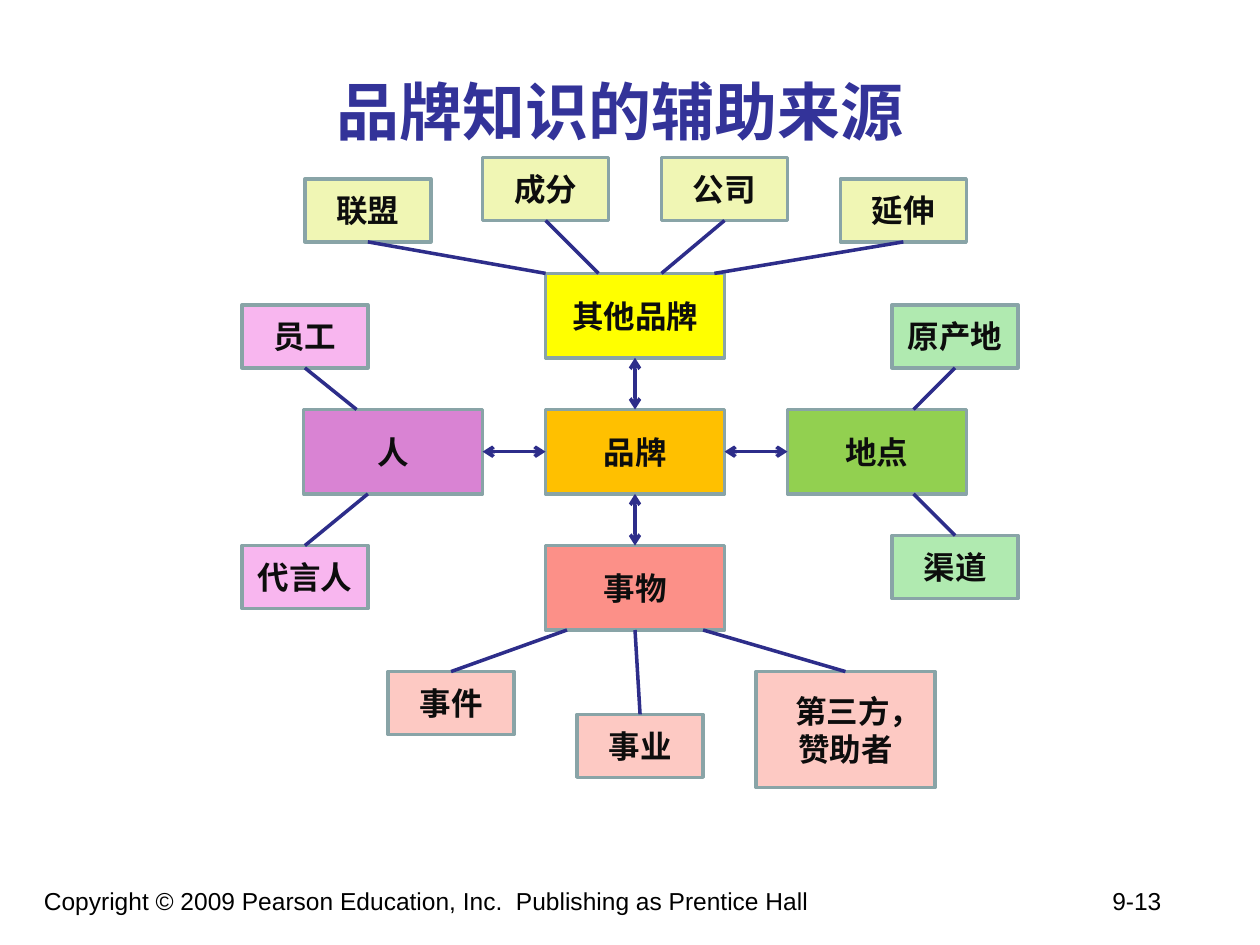
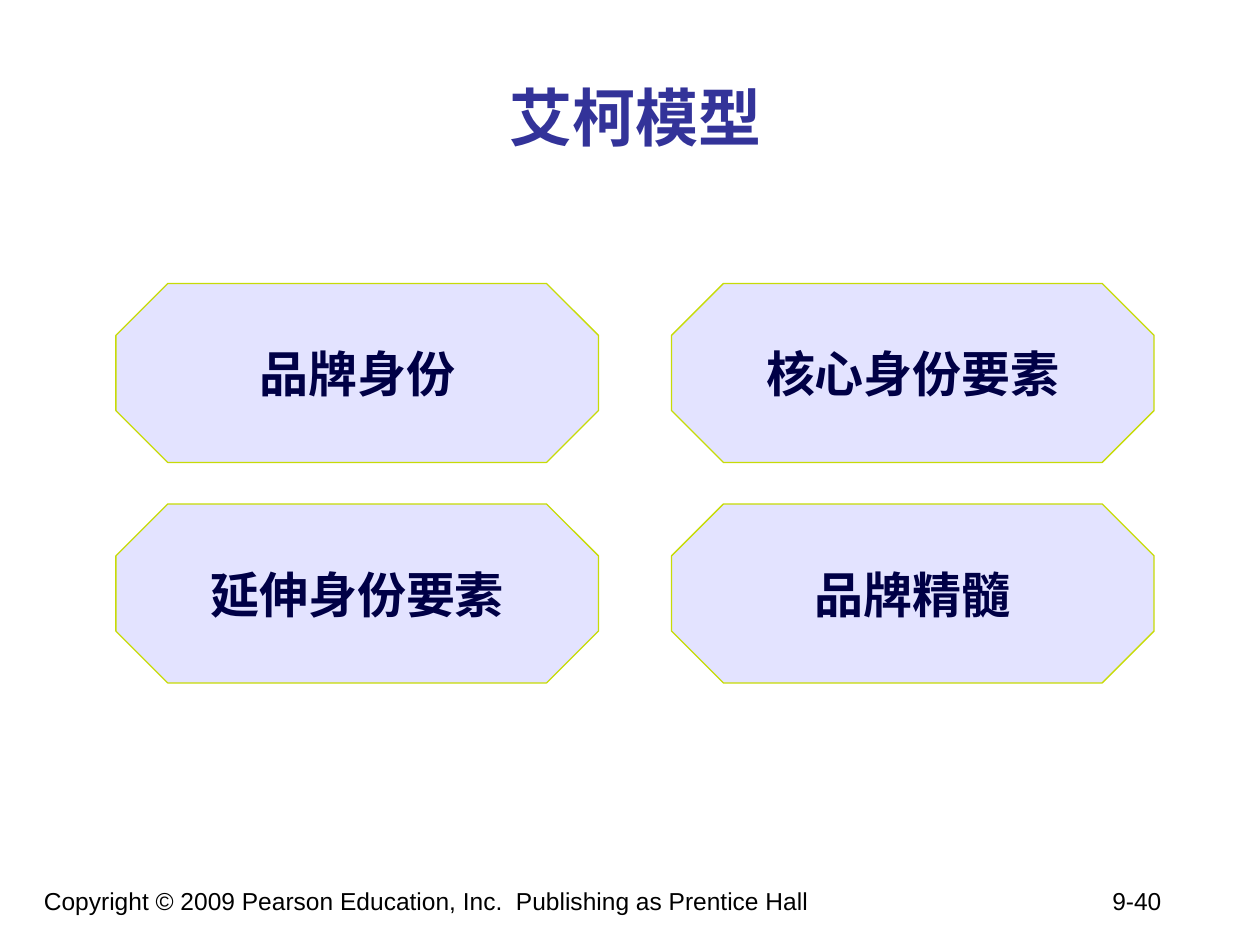
from lxml import etree
from pptx import Presentation
from pptx.dml.color import RGBColor
from pptx.enum.shapes import MSO_CONNECTOR, MSO_SHAPE
from pptx.enum.text import MSO_ANCHOR, PP_ALIGN
from pptx.oxml.ns import qn
from pptx.util import Inches, Pt

RECTANGLE, OCTAGON = MSO_SHAPE.RECTANGLE, MSO_SHAPE.OCTAGON
STRAIGHT = MSO_CONNECTOR.STRAIGHT
CENTER, MIDDLE = PP_ALIGN.CENTER, MSO_ANCHOR.MIDDLE
TOP, LEFT, BOTTOM, RIGHT = range(4)  # connection sites of a rectangle

# Shared style
LATIN, CHINESE = "Arial", "Noto Sans CJK SC"
TITLE_COLOR, FOOTER_COLOR = "333399", "000000"
BOX_LINE, BOX_TEXT, LINK_COLOR = "89A4A7", "0D0D0D", "2D2D8A"
CARD_FILL, CARD_LINE, CARD_TEXT = "E3E3FF", "C7DB07", "000046"
COPYRIGHT = "Copyright © 2009 Pearson Education, Inc.  Publishing as Prentice Hall"

# Map of sources: hubs sit around the centre, by column and row
HUB_SIZE, HUB_STEP = (1.42, 0.67), (1.92, 1.08)
CENTER_HUB = (4.33, 3.25)
HUBS = {
    "品牌": (0, 0, "FFC000"),
    "其他品牌": (0, -1, "FFFF00"),
    "人": (-1, 0, "D983D3"),
    "地点": (1, 0, "92D050"),
    "事物": (0, 1, "FC9088"),
}
# Side of the centre, hub joined there, side of that hub
SPOKES = [(TOP, "其他品牌", BOTTOM), (LEFT, "人", RIGHT),
          (RIGHT, "地点", LEFT), (BOTTOM, "事物", TOP)]

# Leaves: text, left, top, x where the link meets the hub (None: its middle)
LEAF_SIZE, WIDE_LEAF_SIZE = (1, 0.5), (1.42, 0.92)
WIDE_LEAF = "第三方，赞助者"
LEAVES = [
    ("其他品牌", "F0F6B4", [("联盟", 2.42, 1.42, 4.33), ("成分", 3.83, 1.25, 4.75),
                       ("公司", 5.25, 1.25, 5.25), ("延伸", 6.67, 1.42, 5.67)]),
    ("人", "F8B6EF", [("员工", 1.92, 2.42, 2.83), ("代言人", 1.92, 4.33, 2.92)]),
    ("地点", "B0EAB0", [("原产地", 7.08, 2.42, 7.25), ("渠道", 7.08, 4.25, 7.25)]),
    ("事物", "FDC9C3", [("事件", 3.08, 5.33, 4.5), ("事业", 4.58, 5.67, None),
                      (WIDE_LEAF, 6, 5.33, 5.58)]),
]

# Model cards, row by row
CARDS = [["品牌身份", "核心身份要素"], ["延伸身份要素", "品牌精髓"]]
CARD_START, CARD_SIZE, CARD_STEP = (0.92, 2.25), (3.83, 1.42), (4.41, 1.75)


def color(value):
    return RGBColor.from_string(value)


def style(para, size, text_color, bold=True, latin=LATIN):
    font = para.font
    font.size, font.bold, font.name = Pt(size), bold, latin
    font.color.rgb = color(text_color)
    defaults = para._p.pPr.find(qn("a:defRPr"))
    etree.SubElement(defaults, qn("a:ea"), typeface=CHINESE)


def add_page(deck, title, title_place, number):
    page = deck.slides.add_slide(deck.slide_layouts[5])
    heading = page.shapes.title
    heading.left, heading.top, heading.width, heading.height = map(Inches, title_place)
    heading.text_frame.text = title
    heading.text_frame.vertical_anchor = MIDDLE
    para = heading.text_frame.paragraphs[0]
    para.alignment = CENTER
    style(para, 36, TITLE_COLOR, latin=CHINESE)

    # Footer with the page number on a right tab
    footer = page.shapes.add_textbox(Inches(0.25), Inches(6.98), Inches(9.33), Inches(0.52))
    footer.text_frame.word_wrap = True
    para = footer.text_frame.paragraphs[0]
    para.text = f"{COPYRIGHT}\t{number}"
    tabs = etree.SubElement(para._p.get_or_add_pPr(), qn("a:tabLst"))
    etree.SubElement(tabs, qn("a:tab"), pos=str(Inches(8.87)), algn="r")
    style(para, 14, FOOTER_COLOR, bold=False)
    return page


def add_box(page, kind, text, place, size, fill, line, line_width, text_color, text_size):
    box = page.shapes.add_shape(kind, *map(Inches, place + size))
    box.shadow.inherit = False
    box.fill.solid()
    box.fill.fore_color.rgb = color(fill)
    box.line.color.rgb = color(line)
    box.line.width = Pt(line_width)
    frame = box.text_frame
    frame.word_wrap = True
    frame.vertical_anchor = MIDDLE
    para = frame.paragraphs[0]
    para.text = text
    para.alignment = CENTER
    style(para, text_size, text_color)
    return box


def add_map_box(page, text, place, size, fill):
    return add_box(page, RECTANGLE, text, place, size, fill, BOX_LINE, 2, BOX_TEXT, 18)


def add_link(page, box, side, end=(0, 0), arrows=False):
    link = page.shapes.add_connector(STRAIGHT, 0, 0, *end)
    link.begin_connect(box, side)
    link.line.color.rgb = color(LINK_COLOR)
    link.line.width = Pt(2)
    if arrows:
        for tip in ("a:headEnd", "a:tailEnd"):
            etree.SubElement(link.line._get_or_add_ln(), qn(tip), type="arrow")
    etree.SubElement(link._element.spPr, qn("a:effectLst"))
    return link


def build_source_map(deck):
    page = add_page(deck, "品牌知识的辅助来源", (0.42, 0.25, 9, 1.25), "9-13")

    # Hubs and the arrows from the centre
    hubs = {}
    for name, (column, row, fill) in HUBS.items():
        place = (CENTER_HUB[0] + column * HUB_STEP[0], CENTER_HUB[1] + row * HUB_STEP[1])
        hubs[name] = add_map_box(page, name, place, HUB_SIZE, fill)
    for side, name, hub_side in SPOKES:
        link = add_link(page, hubs["品牌"], side, arrows=True)
        link.end_connect(hubs[name], hub_side)

    # Leaves and their links
    for name, fill, leaves in LEAVES:
        hub = hubs[name]
        for text, left, top, hub_x in leaves:
            size = WIDE_LEAF_SIZE if text == WIDE_LEAF else LEAF_SIZE
            box = add_map_box(page, text, (left, top), size, fill)
            if text == WIDE_LEAF:
                box.text_frame.paragraphs[0]._p.pPr.set("indent", str(Inches(0.2)))
            above = box.top < hub.top
            leaf_side, hub_side = (BOTTOM, TOP) if above else (TOP, BOTTOM)
            hub_y = hub.top if above else hub.top + hub.height
            link = add_link(page, box, leaf_side, (Inches(hub_x or 0), hub_y))
            if hub_x is None:
                link.end_connect(hub, hub_side)


def build_model(deck):
    page = add_page(deck, "艾柯模型", (0.83, 0.3, 8.42, 1.25), "9-40")
    for row, texts in enumerate(CARDS):
        for column, text in enumerate(texts):
            place = (CARD_START[0] + column * CARD_STEP[0], CARD_START[1] + row * CARD_STEP[1])
            card = add_box(page, OCTAGON, text, place, CARD_SIZE,
                           CARD_FILL, CARD_LINE, 0.75, CARD_TEXT, 28)
            card.adjustments[0] = 0.29


def main():
    deck = Presentation()
    deck.slide_width, deck.slide_height = Inches(10), Inches(7.5)
    build_source_map(deck)
    build_model(deck)
    deck.save("out.pptx")


if __name__ == "__main__":
    main()
